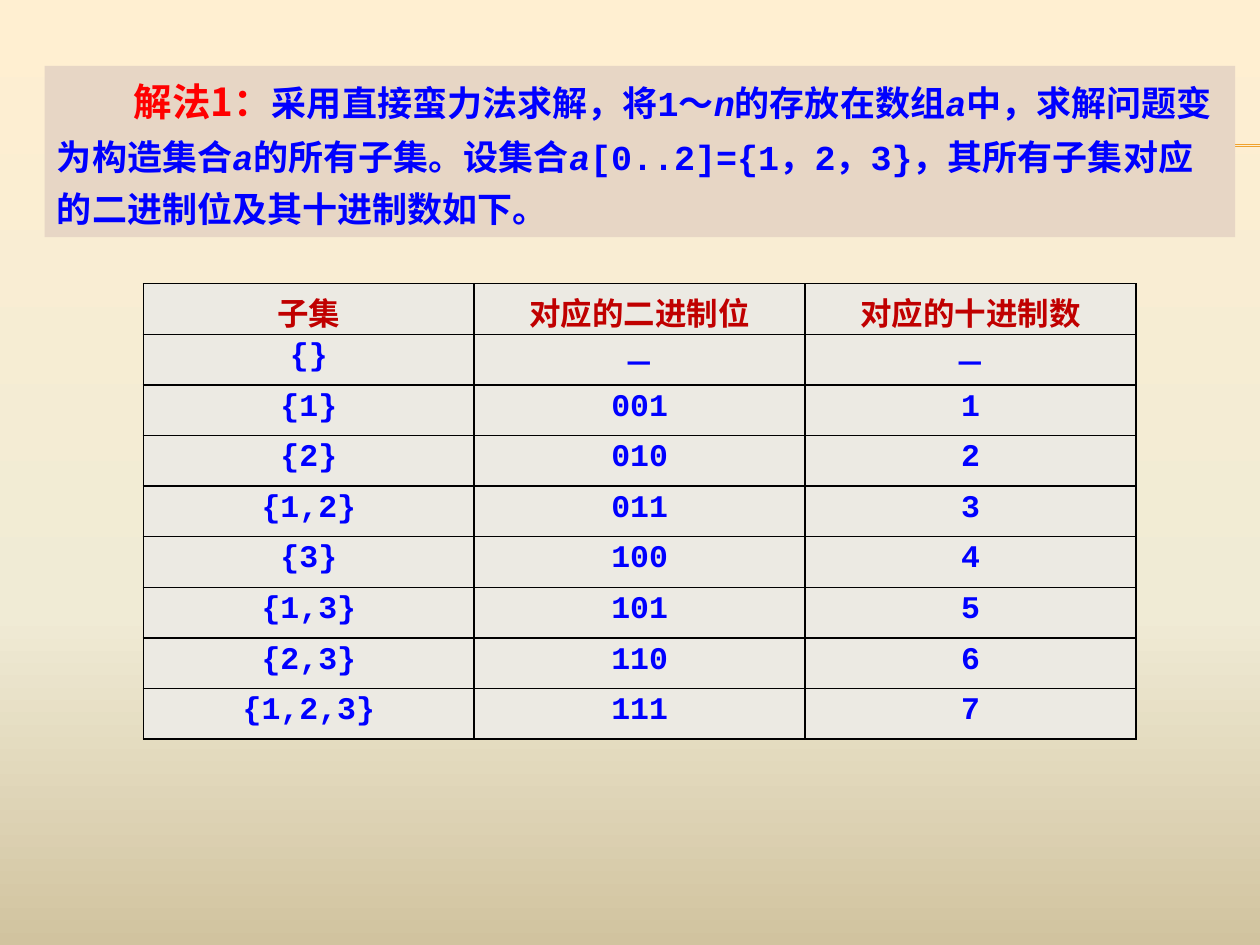
import copy
import lxml.etree
import pptx
import pptx.dml.color
import pptx.enum.shapes
import pptx.enum.text
import pptx.oxml
import pptx.oxml.ns
import pptx.util

Cm, Pt = pptx.util.Cm, pptx.util.Pt
RGB = pptx.dml.color.RGBColor.from_string
qn = pptx.oxml.ns.qn

THEME = {
    "backdrop": [("FFEFD1", 0), ("F0EBD5", 0.65), ("D1C39F", 1)],
    "rule": "F0A22E", "panel": "E7D6C5", "cell": "ECEAE3", "border": "000000",
    "label": "FF0000", "body": "0000FF", "header": "C00000",
    "label_size": 22, "body_size": 20, "table_size": 18,
    "mono": "Courier New", "cjk": "Noto Sans CJK SC",
}


def style(font, size, color, face=THEME["mono"]):
    font.size = Pt(size)
    font.bold = True
    font.color.rgb = RGB(color)
    font.name = face
    east_asian = lxml.etree.SubElement(font._element, qn("a:ea"))
    east_asian.set("typeface", THEME["cjk"])


deck = pptx.Presentation()
deck.slide_width, deck.slide_height = Cm(25.4), Cm(19.05)
slide = deck.slides.add_slide(deck.slide_layouts[6])

backdrop = slide.background.fill
backdrop.gradient()
backdrop.gradient_angle = 270
stop_list = slide.background._cSld.find(".//" + qn("a:gsLst"))
stop_list.append(copy.deepcopy(stop_list[-1]))
for stop, (color, position) in zip(backdrop.gradient_stops, THEME["backdrop"]):
    stop.color.rgb = RGB(color)
    stop.position = position

for y in (2.92, 2.95):
    rule = slide.shapes.add_connector(
        pptx.enum.shapes.MSO_CONNECTOR.STRAIGHT, Cm(1.42), Cm(y), Cm(25.4), Cm(y))
    rule.line.color.rgb = RGB(THEME["rule"])
    rule.line.width = Pt(0.75)
    lxml.etree.SubElement(rule._element.spPr, qn("a:effectLst"))

panel = slide.shapes.add_shape(
    pptx.enum.shapes.MSO_SHAPE.RECTANGLE, Cm(0.9), Cm(1.33), Cm(24), Cm(3.45))
panel.shadow.inherit = False
panel.fill.solid()
panel.fill.fore_color.rgb = RGB(THEME["panel"])
panel.line.fill.background()
panel.text_frame.word_wrap = True
panel.text_frame.vertical_anchor = pptx.enum.text.MSO_ANCHOR.TOP
solution = panel.text_frame.paragraphs[0]
solution.alignment = pptx.enum.text.PP_ALIGN.LEFT
solution.line_spacing = Pt(30)
solution._p.get_or_add_pPr().set("indent", str(Pt(2 * THEME["label_size"])))

label = solution.add_run()
label.text = "解法1："
style(label.font, THEME["label_size"], THEME["label"], THEME["cjk"])
passages = [
    "采用直接蛮力法求解，将1～", "n", "的存放在数组", "a",
    "中，求解问题变为构造集合", "a", "的所有子集。设集合", "a",
    "[0..2]={1，2，3}，其所有子集对应的二进制位及其十进制数如下。",
]
for passage in passages:
    run = solution.add_run()
    run.text = passage
    style(run.font, THEME["body_size"], THEME["body"])
    run.font.italic = passage in ("n", "a")

rows = [("子集", "对应的二进制位", "对应的十进制数"), ("{}", "－", "－")]
for number in range(1, 8):
    members = [str(bit + 1) for bit in range(3) if number >> bit & 1]
    rows.append(("{" + ",".join(members) + "}", f"{number:03b}", str(number)))

subsets = slide.shapes.add_table(
    len(rows), 3, Cm(2.89), Cm(5.72), Cm(20.01), Cm(9.18)).table
for column in subsets.columns:
    column.width = Cm(6.67)
for r, row in enumerate(rows):
    subsets.rows[r].height = Cm(1.02)
    for c, value in enumerate(row):
        cell = subsets.cell(r, c)
        cell.margin_top, cell.margin_bottom = Cm(0.1), Cm(0)
        for side in ("lnL", "lnR", "lnT", "lnB"):
            border = lxml.etree.SubElement(cell._tc.get_or_add_tcPr(), qn("a:" + side))
            border.set("w", str(Pt(1)))
            paint = lxml.etree.SubElement(border, qn("a:solidFill"))
            lxml.etree.SubElement(paint, qn("a:srgbClr")).set("val", THEME["border"])
        cell.fill.solid()
        cell.fill.fore_color.rgb = RGB(THEME["cell"])
        entry = cell.text_frame.paragraphs[0]
        entry.text = value
        entry.alignment = pptx.enum.text.PP_ALIGN.CENTER
        style(entry.font, THEME["table_size"], THEME["body" if r else "header"])

deck.save("out.pptx")
